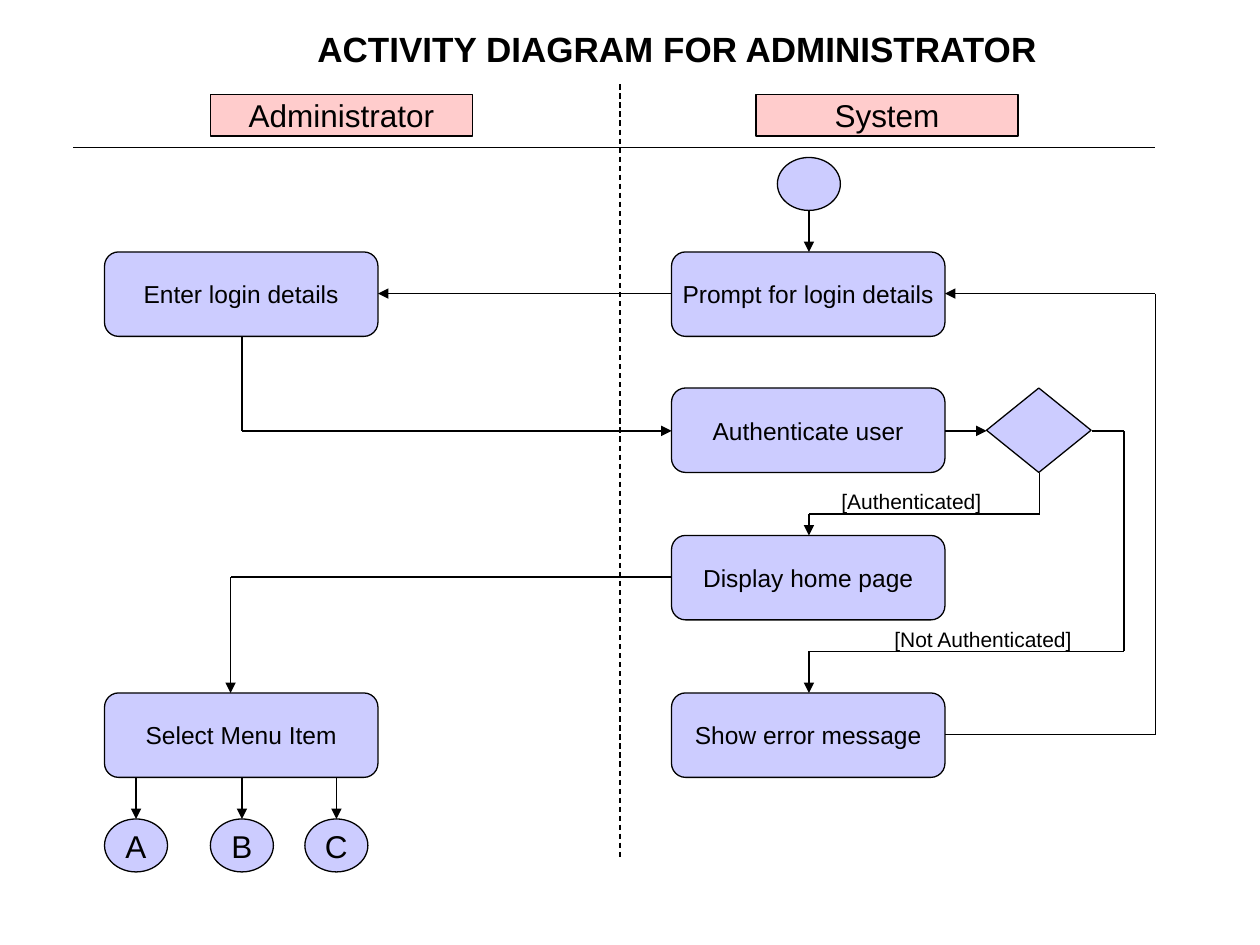
from itertools import pairwise

from lxml.etree import SubElement
from pptx import Presentation
from pptx.dml.color import RGBColor
from pptx.enum.dml import MSO_LINE
from pptx.enum.shapes import MSO_CONNECTOR, MSO_SHAPE
from pptx.enum.text import MSO_ANCHOR, PP_ALIGN
from pptx.oxml.ns import qn
from pptx.util import Inches, Pt

COLORS = {"node": "CCCCFF", "lane": "FFCCCC", "ink": "000000"}
FONT = "Arial"
LINE_WIDTH = Pt(0.74)

# Text, left, top, width, size, bold
LABELS = [
    ("ACTIVITY DIAGRAM FOR ADMINISTRATOR", 2.42, 0.17, 6.25, 0.44, 20, True),
    ("[Authenticated]", 6.58, 3.83, 1.33, 0.3, 12, False),
    ("[Not Authenticated]", 7, 4.92, 1.67, 0.3, 12, False),
]

# Lane heading and its left edge
LANES = [("Administrator", 1.67), ("System", 6)]
LANE_TOP, LANE_SIZE = 0.75, (2.08, 0.33)

# Activity, left, top
ADMINISTRATOR_LEFT, SYSTEM_LEFT = 0.83, 5.33
ACTIVITIES = [
    ("Prompt for login details", SYSTEM_LEFT, 2),
    ("Authenticate user", SYSTEM_LEFT, 3.08),
    ("Display home page", SYSTEM_LEFT, 4.25),
    ("Show error message", SYSTEM_LEFT, 5.5),
    ("Enter login details", ADMINISTRATOR_LEFT, 2),
    ("Select Menu Item", ADMINISTRATOR_LEFT, 5.5),
]
ACTIVITY_SIZE = (2.17, 0.67)

# Menu item and its centre
MENU_ITEMS = [("A", 1.08), ("B", 1.92), ("C", 2.67)]
MENU_TOP, CIRCLE_SIZE = 6.5, (0.5, 0.42)

# Corner points of each flow, with the arrowhead at the last one
FLOWS = [
    [(6.42, 1.67), (6.42, 2)],
    [(5.33, 2.33), (3, 2.33)],
    [(1.92, 2.67), (1.92, 3.42), (5.33, 3.42)],
    [(7.5, 3.42), (7.83, 3.42)],
    [(8.25, 3.75), (8.25, 4.08), (6.42, 4.08), (6.42, 4.25)],
    [(8.67, 3.42), (8.92, 3.42), (8.92, 5.17), (6.42, 5.17), (6.42, 5.5)],
    [(7.5, 5.83), (9.17, 5.83), (9.17, 2.33), (7.5, 2.33)],
    [(5.33, 4.58), (1.83, 4.58), (1.83, 5.5)],
] + [[(center, 6.17), (center, MENU_TOP)] for _, center in MENU_ITEMS]


def color(name):
    """Return the named colour."""
    return RGBColor.from_string(COLORS[name])


def add_text(shape, text, size, bold=False):
    """Write one run of text and return its paragraph."""
    paragraph = shape.text_frame.paragraphs[0]
    run = paragraph.add_run()
    run.text = text
    run.font.name = FONT
    run.font.size = Pt(size)
    run.font.bold = bold
    run.font.color.rgb = color("ink")
    return paragraph


def add_box(slide, kind, left, top, dimensions, fill="node", text="", size=14):
    """Add a filled, outlined shape with centred text."""
    shape = slide.shapes.add_shape(
        kind, *map(Inches, (left, top, *dimensions)))
    shape.shadow.inherit = False
    shape.fill.solid()
    shape.fill.fore_color.rgb = color(fill)
    shape.line.color.rgb = color("ink")
    shape.line.width = LINE_WIDTH
    if text:
        shape.text_frame.word_wrap = False
        shape.text_frame.vertical_anchor = MSO_ANCHOR.MIDDLE
        add_text(shape, text, size).alignment = PP_ALIGN.CENTER


def add_line(slide, start, end, arrow=False, dashed=False):
    """Add a straight line, with an arrowhead at its end if asked."""
    connector = slide.shapes.add_connector(
        MSO_CONNECTOR.STRAIGHT, *map(Inches, (*start, *end)))
    connector.line.color.rgb = color("ink")
    connector.line.width = LINE_WIDTH
    if dashed:
        connector.line.dash_style = MSO_LINE.DASH
    properties = connector._element.spPr
    if arrow:
        SubElement(properties.find(qn("a:ln")), qn("a:tailEnd"), type="triangle")
    SubElement(properties, qn("a:effectLst"))


def add_flow(slide, points):
    """Join the points by lines and end in an arrowhead."""
    for start, end in pairwise(points):
        add_line(slide, start, end, arrow=end == points[-1])


def add_label(slide, text, left, top, width, height, size, bold):
    """Add a plain left-aligned text box."""
    box = slide.shapes.add_textbox(*map(Inches, (left, top, width, height)))
    box.text_frame.word_wrap = True
    add_text(box, text, size, bold)


def build():
    """Build the slide and save it."""
    presentation = Presentation()
    presentation.slide_width = Inches(10)
    presentation.slide_height = Inches(7.5)
    slide = presentation.slides.add_slide(presentation.slide_layouts[6])

    add_line(slide, (4.92, 0.67), (4.92, 6.83), dashed=True)
    add_line(slide, (0.58, 1.17), (9.17, 1.17))
    for text, left in LANES:
        add_box(slide, MSO_SHAPE.RECTANGLE, left, LANE_TOP, LANE_SIZE,
                "lane", text, 18)
    for text, left, top in ACTIVITIES:
        add_box(slide, MSO_SHAPE.FLOWCHART_ALTERNATE_PROCESS, left, top,
                ACTIVITY_SIZE, text=text)
    add_box(slide, MSO_SHAPE.OVAL, 6.17, 1.25, CIRCLE_SIZE)
    add_box(slide, MSO_SHAPE.FLOWCHART_DECISION, 7.83, 3.08, (0.83, 0.67))
    for text, center in MENU_ITEMS:
        add_box(slide, MSO_SHAPE.OVAL, center - CIRCLE_SIZE[0] / 2, MENU_TOP,
                CIRCLE_SIZE, text=text, size=18)
    for points in FLOWS:
        add_flow(slide, points)
    for label in LABELS:
        add_label(slide, *label)

    presentation.save("out.pptx")


build()
